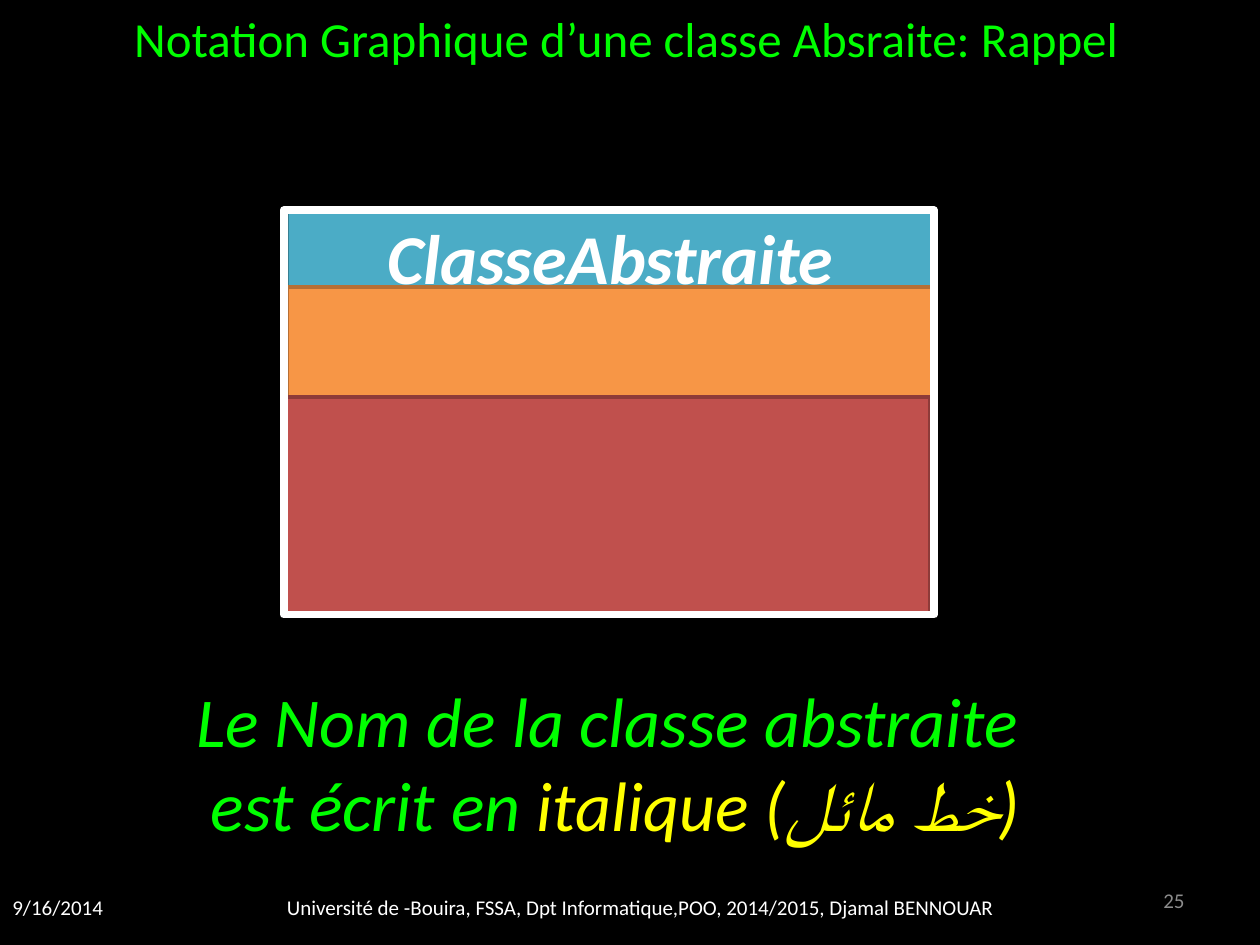
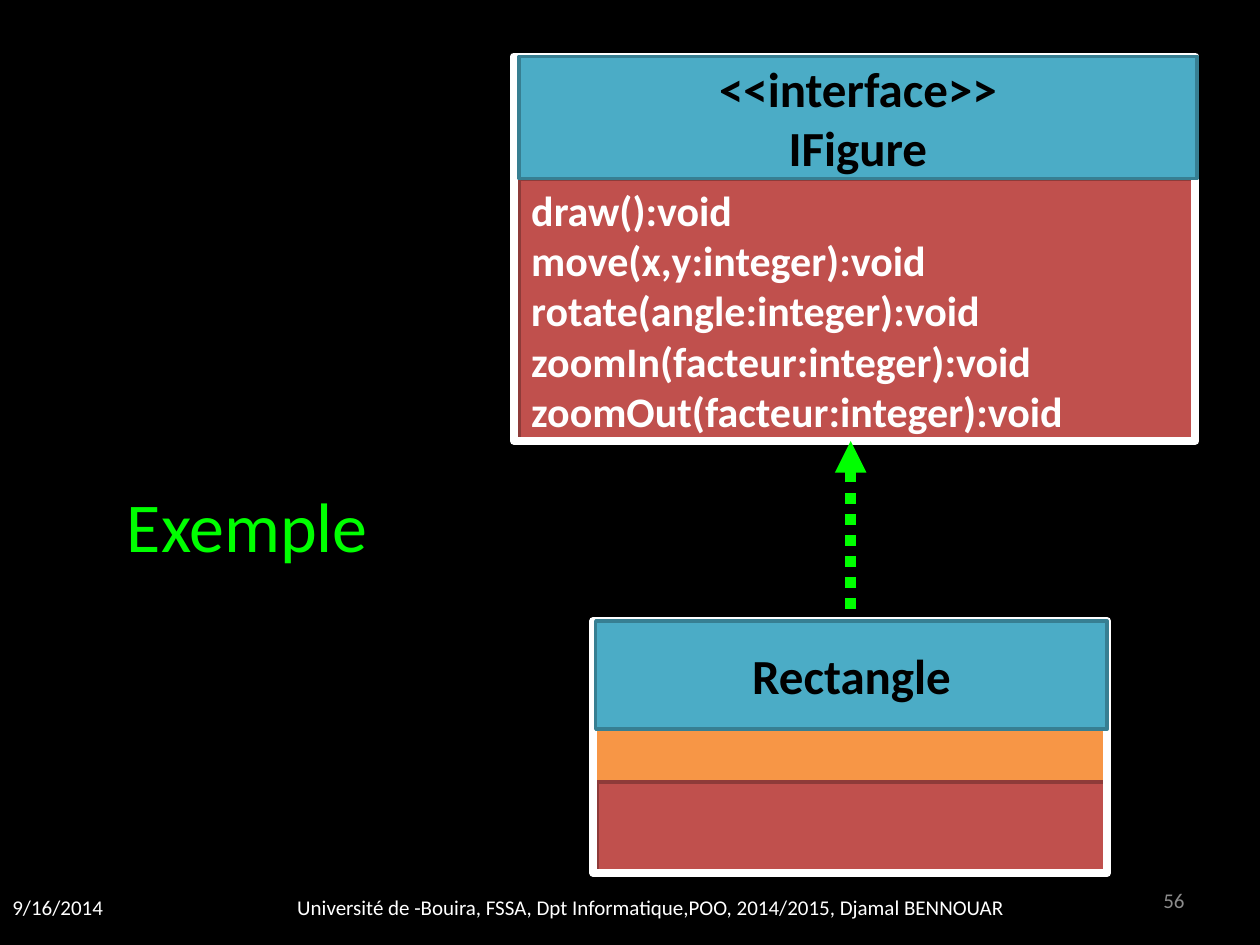
import pptx
import pptx.util
import pptx.dml.color
import pptx.enum.dml
import pptx.enum.shapes
import pptx.enum.text
import pptx.oxml.ns
from lxml import etree

Cm, Pt = pptx.util.Cm, pptx.util.Pt
LEFT, CENTER, RIGHT = (pptx.enum.text.PP_ALIGN.LEFT, pptx.enum.text.PP_ALIGN.CENTER,
                       pptx.enum.text.PP_ALIGN.RIGHT)
MIDDLE, TOP = pptx.enum.text.MSO_ANCHOR.MIDDLE, pptx.enum.text.MSO_ANCHOR.TOP

FONT = "Calibri"
COLORS = {
    "background": "000000", "black": "000000", "white": "FFFFFF",
    "grey": "8C8C8C", "green": "00FF00", "yellow": "FFFF00",
    "name": "4BACC6", "name_edge": "377F92",
    "attributes": "F79646", "attributes_edge": "B76F34",
    "operations": "C0504D", "operations_edge": "8E3B39",
}
DATE = "9/16/2014"
COURSE = "Université de -Bouira, FSSA, Dpt Informatique,POO, 2014/2015, Djamal BENNOUAR"

NAME_STYLE = dict(size=28, color="black", bold=True, align=CENTER)
ABSTRACT_STYLE = dict(size=40, color="white", bold=True, italic=True, align=CENTER)
OPERATION_STYLE = dict(size=24, color="white", bold=True, align=LEFT)

SLIDES = [
    {
        "number": "25",
        "course_left": 2.75,
        "classes": [[
            ("name", (5.79, 4.24, 13.03, 1.85), ["ClasseAbstraite"], ABSTRACT_STYLE),
            ("attributes", (5.79, 5.79, 13.03, 2.21), [], {}),
            ("operations", (5.72, 8, 13.03, 4.39), [], {}),
            ("frame", (5.72, 4.24, 13.11, 8.15), [], {}),
        ]],
        "texts": [
            ((-0.08, 0.05, 25.4, 1.45), ["Notation Graphique d’une classe Absraite: Rappel"],
             dict(size=28, color="green", align=CENTER)),
            ((1.07, 13.54, 22.66, 3.68),
             ["Le Nom de la classe abstraite ",
              [("est écrit en ", "green"), ("italique (خط مائل)", "yellow")]],
             dict(size=40, color="green", italic=True, align=CENTER)),
        ],
        "realizations": [],
    },
    {
        "number": "56",
        "course_left": 2.96,
        "classes": [
            [
                ("operations", (10.46, 3.61, 13.67, 5.28),
                 ["draw():void", "move(x,y:integer):void", "rotate(angle:integer):void",
                  "zoomIn(facteur:integer):void", "zoomOut(facteur:integer):void"],
                 OPERATION_STYLE),
                ("frame", (10.36, 1.14, 13.74, 7.75), [], {}),
                ("name", (10.46, 1.14, 13.67, 2.46), ["<<interface>>", "IFigure"], NAME_STYLE),
            ],
            [
                ("attributes", (12.01, 13.64, 10.31, 2.16), [], {}),
                ("operations", (12.04, 15.77, 10.31, 1.8), [], {}),
                ("frame", (11.96, 12.52, 10.36, 5.08), [], {}),
                ("name", (12.01, 12.52, 10.31, 2.18), ["Rectangle"], NAME_STYLE),
            ],
        ],
        "texts": [
            ((0.64, 9.6, 8.69, 1.96), ["Exemple"], dict(size=40, color="green", align=CENTER)),
        ],
        "realizations": [(17.15, 12.27, 17.15, 8.89)],
    },
]


def rgb(color):
    return pptx.dml.color.RGBColor.from_string(COLORS[color])


def write(shape, lines, size, color, align, bold=False, italic=False, anchor=MIDDLE):
    frame = shape.text_frame
    frame.word_wrap = True
    frame.vertical_anchor = anchor
    for index, line in enumerate(lines):
        paragraph = frame.add_paragraph() if index else frame.paragraphs[0]
        paragraph.alignment = align
        font = paragraph.font
        font.name, font.size, font.bold, font.italic = FONT, Pt(size), bold, italic
        font.color.rgb = rgb(color)
        for words, run_color in [(line, color)] if isinstance(line, str) else line:
            run = paragraph.add_run()
            run.text = words
            if run_color != color:
                run.font.color.rgb = rgb(run_color)


def add_text(slide, box, lines, **style):
    write(slide.shapes.add_textbox(*map(Cm, box)), lines, **style)


def add_footer(slide, number, course_left):
    style = dict(size=12, anchor=MIDDLE)
    add_text(slide, (0, 17.78, 3.18, 1.01), [DATE], color="white", align=LEFT, **style)
    add_text(slide, (course_left, 17.78, 20.32, 1.01), [COURSE],
             color="white", align=CENTER, **style)
    add_text(slide, (18.2, 17.65, 5.93, 1.01), [number], color="grey", align=RIGHT, **style)


def add_class(slide, compartments):
    group = slide.shapes.add_group_shape()
    for part, box, lines, style in compartments:
        shape = group.shapes.add_shape(pptx.enum.shapes.MSO_SHAPE.RECTANGLE, *map(Cm, box))
        shape.shadow.inherit = False
        if part == "frame":
            shape.fill.background()
            shape.line.color.rgb = rgb("white")
            shape.line.width = Pt(4.5)
        else:
            shape.fill.solid()
            shape.fill.fore_color.rgb = rgb(part)
            shape.line.color.rgb = rgb(part + "_edge")
            shape.line.width = Pt(2)
        if lines:
            write(shape, lines, **style)


def add_realization(slide, ends):
    arrow = slide.shapes.add_connector(pptx.enum.shapes.MSO_CONNECTOR.STRAIGHT, *map(Cm, ends))
    arrow.line.color.rgb = rgb("green")
    arrow.line.width = Pt(6)
    arrow.line.dash_style = pptx.enum.dml.MSO_LINE.ROUND_DOT
    qn = pptx.oxml.ns.qn
    properties = arrow.element.find(qn("p:spPr"))
    etree.SubElement(properties.find(qn("a:ln")), qn("a:tailEnd"), type="triangle")
    etree.SubElement(properties, qn("a:effectLst"))


deck = pptx.Presentation()
deck.slide_width, deck.slide_height = Cm(25.4), Cm(19.05)
for content in SLIDES:
    slide = deck.slides.add_slide(deck.slide_layouts[6])
    slide.background.fill.solid()
    slide.background.fill.fore_color.rgb = rgb("background")
    add_footer(slide, content["number"], content["course_left"])
    for compartments in content["classes"]:
        add_class(slide, compartments)
    for ends in content["realizations"]:
        add_realization(slide, ends)
    for box, lines, style in content["texts"]:
        add_text(slide, box, lines, anchor=TOP, **style)
deck.save("out.pptx")
